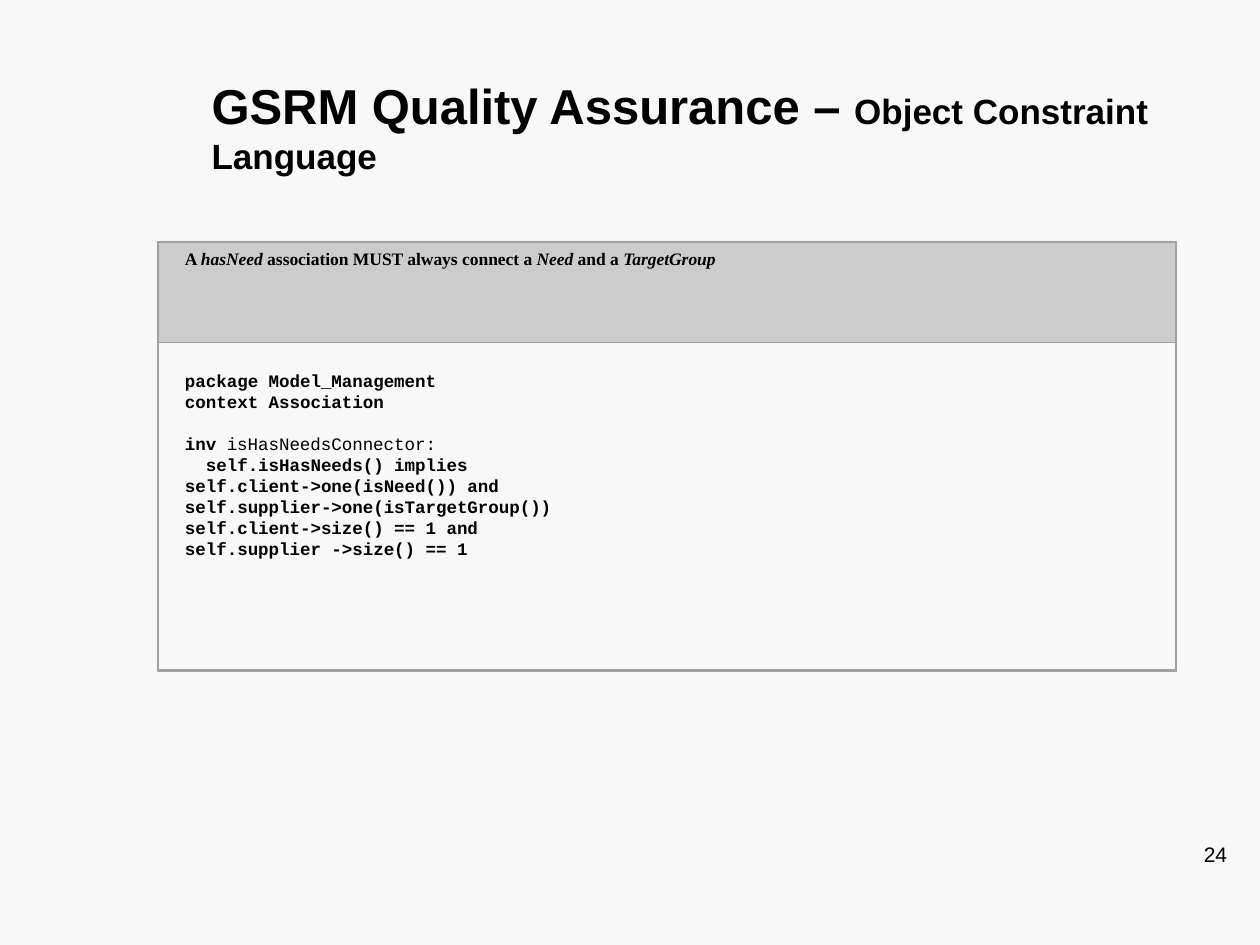
import pptx
import pptx.util
import pptx.dml.color
import pptx.enum.shapes
import pptx.enum.text

Cm, Pt = pptx.util.Cm, pptx.util.Pt
RECTANGLE = pptx.enum.shapes.MSO_SHAPE.RECTANGLE
ALIGN = pptx.enum.text.PP_ALIGN
ANCHOR = pptx.enum.text.MSO_ANCHOR

# Content
COLOURS = {"background": "F8F8F8", "header": "CCCCCC", "border": "A0A0A0", "text": "000000"}
TITLE = [("GSRM Quality Assurance – ", 28), ("Object Constraint Language", 20)]
RULE = [  # text, italic
    ("A ", False), ("hasNeed", True), (" association MUST always connect a ", False),
    ("Need", True), (" and a ", False), ("TargetGroup", True),
]
PACKAGE_LINES = ["package Model_Management", "context Association"]
INVARIANT = [("inv ", True), ("isHasNeedsConnector:", False)]  # text, bold
BODY_LINES = [
    "  self.isHasNeeds() implies",
    "self.client->one(isNeed()) and",
    "self.supplier->one(isTargetGroup())",
    "self.client->size() == 1 and",
    "self.supplier ->size() == 1",
]
CODE = [[(line, True)] for line in PACKAGE_LINES] + [INVARIANT] + [[(line, True)] for line in BODY_LINES]
PAGE_NUMBER = "24"

# Panel geometry: a header row over a code row
LEFT, TOP, WIDTH = Cm(3.2), Cm(4.88), Cm(20.5)
HEADER_HEIGHT, CODE_HEIGHT = Cm(2.03), Cm(6.6)
CODE_TOP = TOP + HEADER_HEIGHT
TEXT_LEFT, TEXT_WIDTH = LEFT + Cm(0.28), Cm(19.89)
CODE_PITCH = Pt(12)


def colour(name):
    return pptx.dml.color.RGBColor.from_string(COLOURS[name])


def set_font(font, size, name, bold=False):
    font.size, font.name, font.bold = Pt(size), name, bold
    font.color.rgb = colour("text")


def add_rectangle(shapes, box, fill=None, border=None):
    shape = shapes.add_shape(RECTANGLE, *box)
    shape.shadow.inherit = False
    if fill:
        shape.fill.solid()
        shape.fill.fore_color.rgb = colour(fill)
    else:
        shape.fill.background()
    if border:
        shape.line.color.rgb = colour(border)
        shape.line.width = Pt(0.75)
    else:
        shape.line.fill.background()
    return shape


def set_frame(frame, anchor=ANCHOR.TOP):
    frame.word_wrap = True
    frame.auto_size = pptx.enum.text.MSO_AUTO_SIZE.NONE
    frame.vertical_anchor = anchor
    return frame


presentation = pptx.Presentation()
presentation.slide_width, presentation.slide_height = Cm(25.4), Cm(19.05)
slide = presentation.slides.add_slide(presentation.slide_layouts[5])
slide.background.fill.solid()
slide.background.fill.fore_color.rgb = colour("background")

# Title
title = slide.shapes.title
title.left, title.top, title.width, title.height = Cm(4.01), Cm(1.27), Cm(19.48), Cm(2.54)
paragraph = set_frame(title.text_frame, ANCHOR.MIDDLE).paragraphs[0]
paragraph.alignment = ALIGN.LEFT
for text, size in TITLE:
    run = paragraph.add_run()
    run.text = text
    set_font(run.font, size, "Arial", True)

# Header row with the rule in words
panel = slide.shapes.add_group_shape().shapes
header_box = (LEFT, TOP, WIDTH, HEADER_HEIGHT)
add_rectangle(panel, header_box, fill="header")
rule = add_rectangle(panel, (TEXT_LEFT, TOP, TEXT_WIDTH, HEADER_HEIGHT), fill="header")
paragraph = set_frame(rule.text_frame).paragraphs[0]
paragraph.alignment = ALIGN.LEFT
set_font(paragraph.font, 10, "Times New Roman", True)
for text, italic in RULE:
    run = paragraph.add_run()
    run.text = text
    set_font(run.font, 10, "Times New Roman", True)
    run.font.italic = italic
add_rectangle(panel, header_box, border="border")

# Code row, starting one line down
code = panel.add_textbox(TEXT_LEFT, CODE_TOP, TEXT_WIDTH, CODE_HEIGHT)
frame = set_frame(code.text_frame)
frame.margin_top = Cm(0.13) + CODE_PITCH
for index, pieces in enumerate(CODE):
    paragraph = frame.add_paragraph() if index else frame.paragraphs[0]
    paragraph.line_spacing = CODE_PITCH
    if pieces is INVARIANT:
        paragraph.space_before = CODE_PITCH
    for text, bold in pieces:
        run = paragraph.add_run()
        run.text = text
        set_font(run.font, 10, "Courier New", bold)
add_rectangle(panel, (LEFT, CODE_TOP, WIDTH, CODE_HEIGHT), border="border")

# Outer frame
add_rectangle(panel, (LEFT - Cm(0.02), TOP, WIDTH + Cm(0.04), HEADER_HEIGHT + CODE_HEIGHT + Cm(0.03)),
              border="border")

# Page number
number = slide.shapes.add_textbox(Cm(19.71), Cm(16.84), Cm(5.28), Cm(0.81))
paragraph = set_frame(number.text_frame).paragraphs[0]
paragraph.text = PAGE_NUMBER
paragraph.alignment = ALIGN.RIGHT
set_font(paragraph.font, 12, "Arial")

presentation.save("out.pptx")
